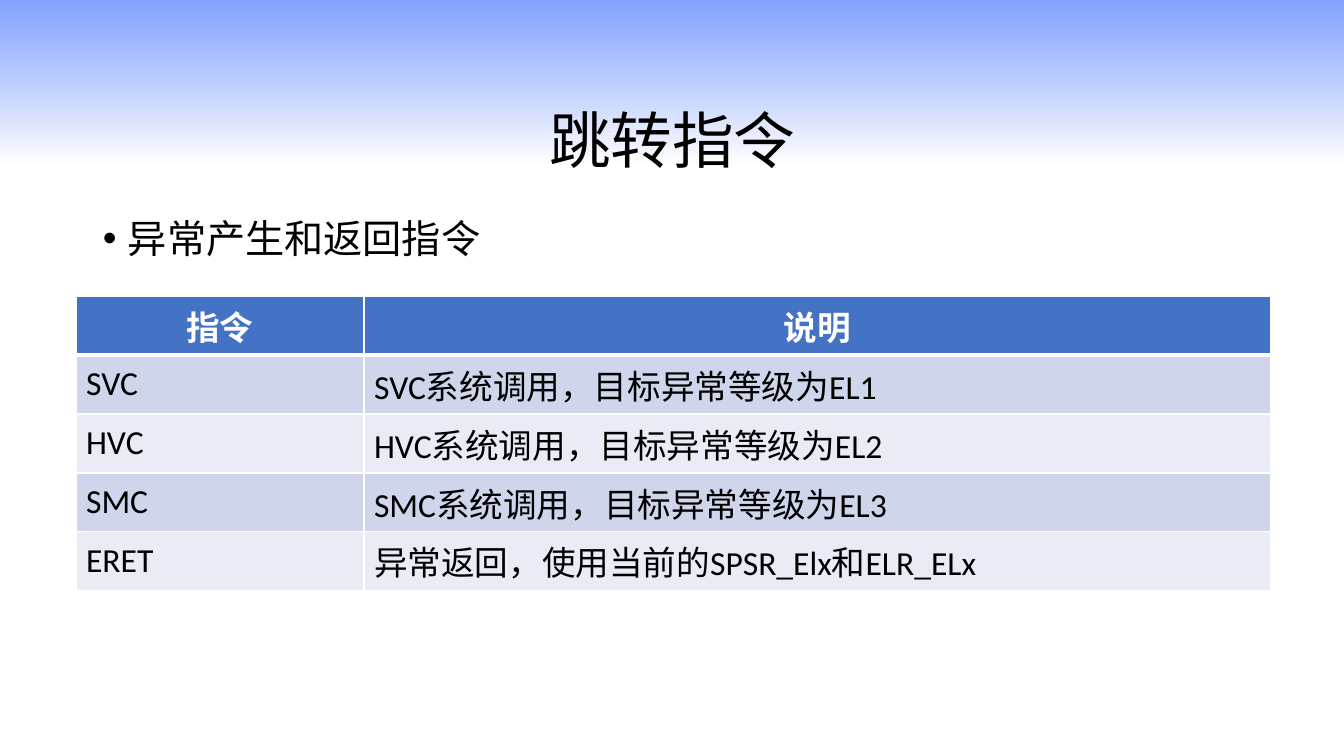
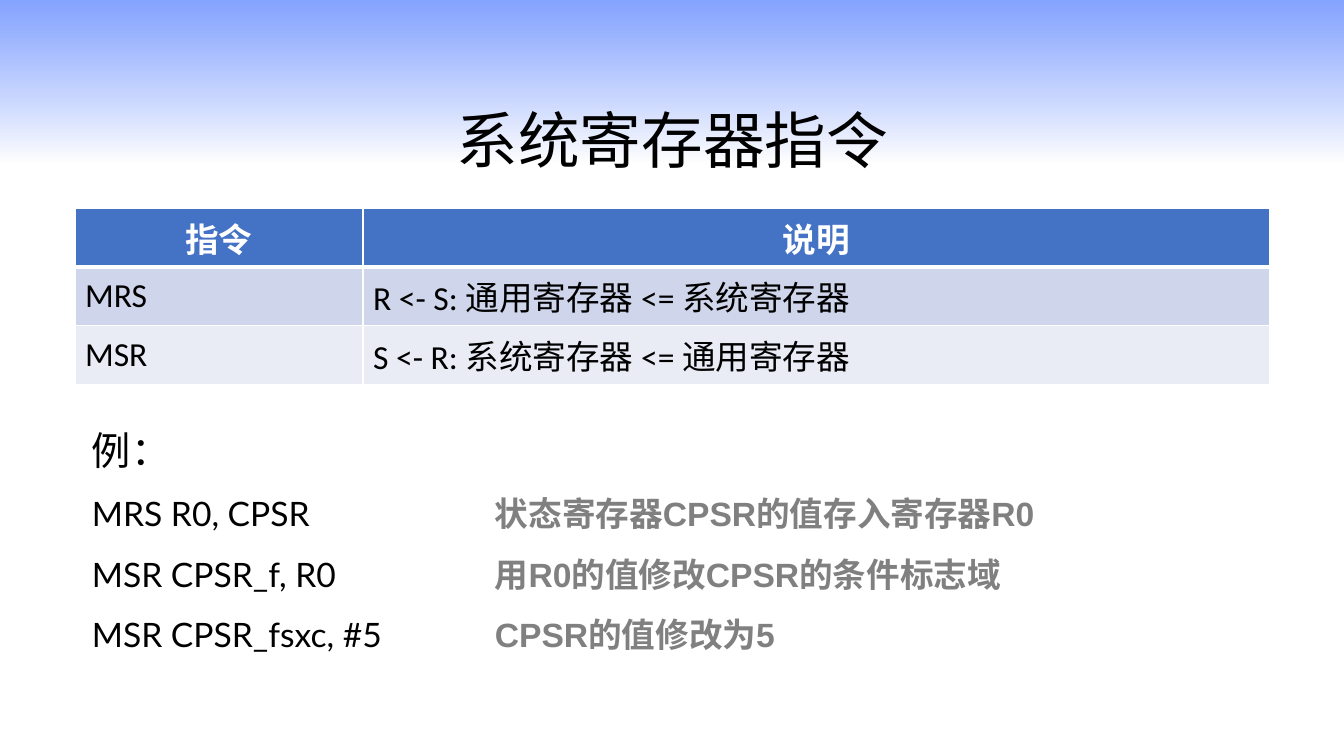
from dataclasses import dataclass
from typing import NamedTuple

from pptx import Presentation
from pptx.dml.color import RGBColor
from pptx.enum.shapes import MSO_SHAPE
from pptx.enum.text import MSO_ANCHOR, MSO_AUTO_SIZE, PP_ALIGN
from pptx.oxml.ns import qn
from pptx.oxml.xmlchemy import OxmlElement
from pptx.slide import Slide
from pptx.util import Emu, Pt

EMU_PER_PX = 12192000 / 1344


@dataclass(frozen=True)
class Theme:
    """Colours, fonts and type sizes of the deck."""

    black: str = "000000"
    white: str = "FFFFFF"
    grey: str = "808080"
    band: str = "3366FF"
    header: str = "4472C4"
    stripes: tuple[str, str] = ("CFD5EA", "E9EBF5")
    heading_font: str = "Times New Roman"
    table_font: str = "Calibri"
    code_font: str = "Lato"
    note_font: str = "Arial"
    title_size: int = 44
    body_size: int = 28
    text_size: int = 24


class Box(NamedTuple):
    """A rectangle in px."""

    left: int
    top: int
    width: int
    height: int

    def emu(self) -> list[Emu]:
        """Return the four lengths in EMU."""
        return [px(v) for v in self]


class Row(NamedTuple):
    """An instruction and its description."""

    instruction: str
    description: str


THEME = Theme()
SLIDE = Box(0, 0, 1344, 756)
BAND = Box(0, 0, 1344, 163)
TITLE = Box(93, 100, 1159, 87)
COLUMNS = (288, 907)
HEADER = Row("指令", "说明")
EXCEPTIONS = [
    Row("SVC", "SVC系统调用，目标异常等级为EL1"),
    Row("HVC", "HVC系统调用，目标异常等级为EL2"),
    Row("SMC", "SMC系统调用，目标异常等级为EL3"),
    Row("ERET", "异常返回，使用当前的SPSR_Elx和ELR_ELx"),
]
REGISTERS = [
    Row("MRS", "R <- S: 通用寄存器 <= 系统寄存器"),
    Row("MSR", "S <- R: 系统寄存器 <= 通用寄存器"),
]
EXAMPLES = [
    Row("MRS R0, CPSR", "状态寄存器CPSR的值存入寄存器R0"),
    Row("MSR CPSR_f, R0", "用R0的值修改CPSR的条件标志域"),
    Row("MSR CPSR_fsxc, #5", "CPSR的值修改为5"),
]


def px(value: int) -> Emu:
    """Turn px into EMU."""
    return Emu(round(value * EMU_PER_PX))


def add_element(parent, tag: str, **attrs):
    """Append an XML element with the given attributes."""
    child = OxmlElement(tag)
    for name, value in attrs.items():
        child.set(name, str(value))
    parent.append(child)
    return child


def write(p, text: str, *, size: int, font: str = THEME.heading_font,
          color: str = THEME.black, bold: bool = False) -> None:
    """Add a formatted run to a paragraph."""
    r = p.add_run()
    r.text = text
    r.font.name = font
    r.font.size = Pt(size)
    r.font.bold = bold
    r.font.color.rgb = RGBColor.from_string(color)


def add_band(prs, slide: Slide) -> None:
    """Draw the gradient band and place it on the slide master."""
    sp = slide.shapes.add_shape(MSO_SHAPE.RECTANGLE, *BAND.emu())
    sp.shadow.inherit = False
    sp.line.fill.background()
    sp.fill.gradient()
    sp.fill.gradient_angle = 270
    for stop, color in zip(sp.fill.gradient_stops, (THEME.band, THEME.white)):
        stop.color.rgb = RGBColor.from_string(color)
    for clr, alpha in zip(sp.element.spPr.iter(qn("a:srgbClr")), (60, 70)):
        add_element(clr, "a:alpha", val=alpha * 1000)
    prs.slide_master.shapes.element.insert(2, sp.element)


def add_slide(prs, title: str) -> Slide:
    """Add a title-only slide with its formatted title."""
    slide = prs.slides.add_slide(prs.slide_layouts[5])
    sp = slide.shapes.title
    sp.left, sp.top, sp.width, sp.height = TITLE.emu()
    tf = sp.text_frame
    tf.auto_size = MSO_AUTO_SIZE.NONE
    tf.vertical_anchor = MSO_ANCHOR.MIDDLE
    p = tf.paragraphs[0]
    p.alignment = PP_ALIGN.CENTER
    p.line_spacing = 0.9
    write(p, title, size=THEME.title_size)
    return slide


def add_text_box(slide: Slide, box: Box):
    """Add a wrapping text box and return its text frame."""
    tf = slide.shapes.add_textbox(*box.emu()).text_frame
    tf.word_wrap = True
    return tf


def set_borders(cell, row: int) -> None:
    """Give a cell white borders, thick below the header."""
    thick = {(0, "B"), (1, "T")}
    for side in "LRTB":
        width = 3 if (row, side) in thick else 1
        ln = add_element(cell._tc.get_or_add_tcPr(), f"a:ln{side}", w=Pt(width))
        fill = add_element(ln, "a:solidFill")
        add_element(fill, "a:srgbClr", val=THEME.white)


def add_instruction_table(slide: Slide, left: int, top: int, row_height: int,
                          rows: list[Row]) -> None:
    """Add a striped table of instructions under a header row."""
    lines = [HEADER, *rows]
    box = Box(left, top, sum(COLUMNS), row_height * len(lines))
    table = slide.shapes.add_table(len(lines), len(COLUMNS), *box.emu()).table
    for column, width in zip(table.columns, COLUMNS):
        column.width = px(width)
    for i, line in enumerate(lines):
        table.rows[i].height = px(row_height)
        is_header = i == 0
        fill = THEME.header if is_header else THEME.stripes[(i - 1) % 2]
        for j, text in enumerate(line):
            cell = table.cell(i, j)
            set_borders(cell, i)
            cell.fill.solid()
            cell.fill.fore_color.rgb = RGBColor.from_string(fill)
            cell.vertical_anchor = MSO_ANCHOR.MIDDLE
            p = cell.text_frame.paragraphs[0]
            p.alignment = PP_ALIGN.CENTER if is_header else PP_ALIGN.LEFT
            write(p, text, size=THEME.text_size, font=THEME.table_font,
                  color=THEME.white if is_header else THEME.black, bold=is_header)


def add_bullet(slide: Slide, box: Box, text: str) -> None:
    """Add a text box with one bulleted line."""
    p = add_text_box(slide, box).paragraphs[0]
    pPr = p._p.get_or_add_pPr()
    pPr.set("marL", str(px(25)))
    pPr.set("indent", str(px(-25)))
    add_element(pPr, "a:buFont", typeface=THEME.note_font)
    add_element(pPr, "a:buChar", char="•")
    p.line_spacing = 1.5
    write(p, text, size=THEME.body_size)


def add_examples(slide: Slide, box: Box, heading: str, rows: list[Row]) -> None:
    """Add code lines with notes aligned at a tab stop."""
    tf = add_text_box(slide, box)
    write(tf.paragraphs[0], heading, size=THEME.body_size)
    for row in rows:
        p = tf.add_paragraph()
        tabs = add_element(p._p.get_or_add_pPr(), "a:tabLst")
        add_element(tabs, "a:tab", pos=px(403), algn="l")
        p.line_spacing = 1.5
        write(p, row.instruction + "\t", size=THEME.text_size, font=THEME.code_font)
        write(p, row.description, size=THEME.text_size, font=THEME.note_font,
              color=THEME.grey, bold=True)


def main() -> None:
    """Build the deck and save it."""
    prs = Presentation()
    prs.slide_width, prs.slide_height = px(SLIDE.width), px(SLIDE.height)

    slide = add_slide(prs, "跳转指令")
    add_band(prs, slide)
    add_bullet(slide, Box(93, 186, 1179, 87), "异常产生和返回指令")
    add_instruction_table(slide, 76, 296, 59, EXCEPTIONS)

    slide = add_slide(prs, "系统寄存器指令")
    add_instruction_table(slide, 75, 208, 57, REGISTERS)
    add_examples(slide, Box(82, 421, 1226, 234), "例：", EXAMPLES)

    prs.save("out.pptx")


if __name__ == "__main__":
    main()
